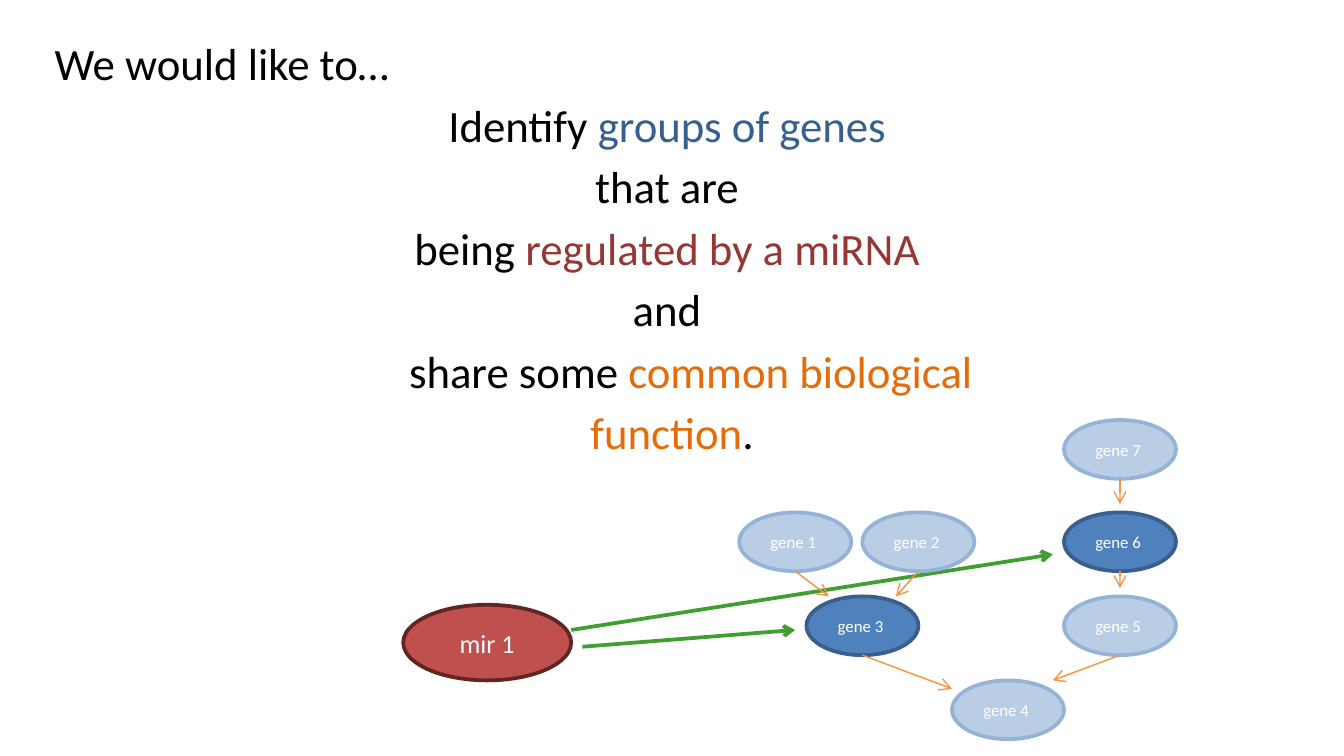
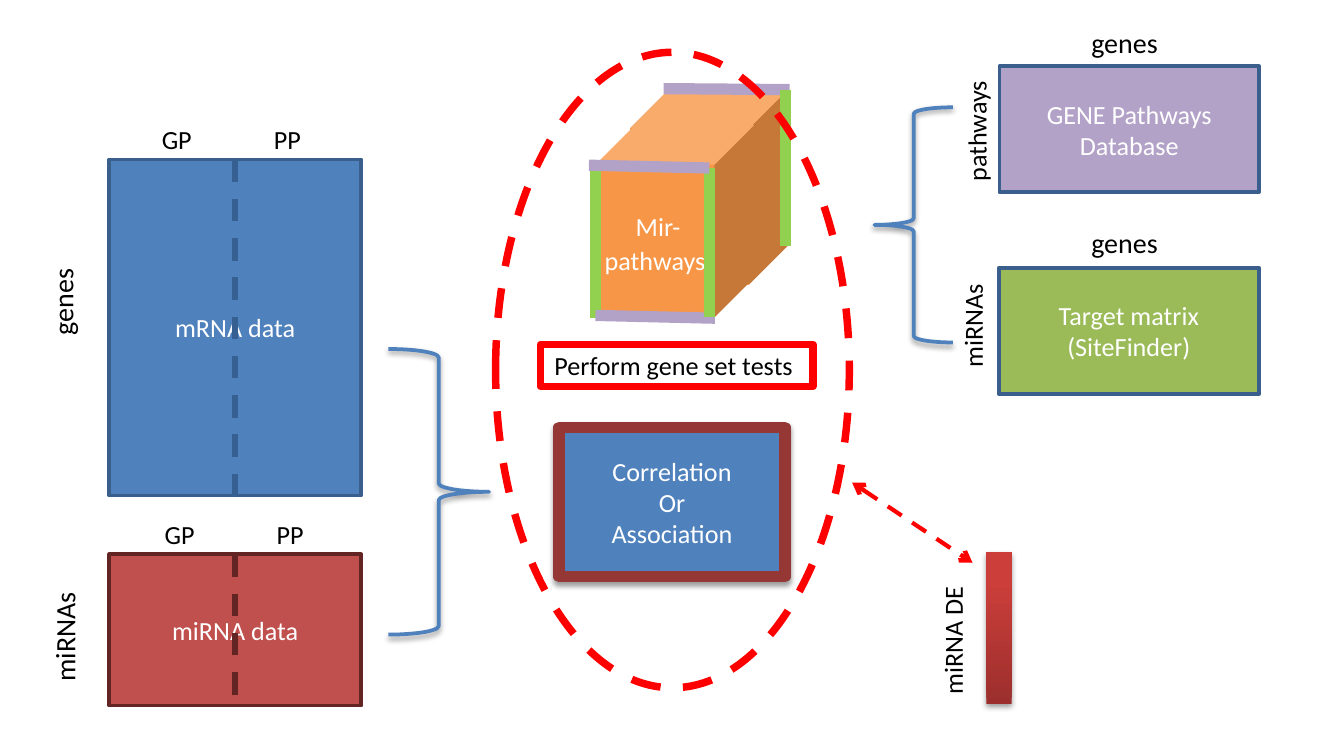
from dataclasses import dataclass

from lxml import etree
from pptx import Presentation
from pptx.dml.color import RGBColor
from pptx.enum.dml import MSO_LINE
from pptx.enum.shapes import MSO_CONNECTOR, MSO_SHAPE
from pptx.enum.text import MSO_ANCHOR, PP_ALIGN
from pptx.oxml.ns import qn
from pptx.util import Pt

DASH = MSO_LINE.DASH
STRAIGHT = MSO_CONNECTOR.STRAIGHT
RECTANGLE = MSO_SHAPE.RECTANGLE
OVAL = MSO_SHAPE.OVAL
CUBE = MSO_SHAPE.CUBE
LEFT_BRACE = MSO_SHAPE.LEFT_BRACE
RIGHT_BRACE = MSO_SHAPE.RIGHT_BRACE
TOP = MSO_ANCHOR.TOP
MIDDLE = MSO_ANCHOR.MIDDLE
LEFT = PP_ALIGN.LEFT
CENTER = PP_ALIGN.CENTER


@dataclass(frozen=True)
class Theme:
    font: str = "Calibri"
    black: str = "000000"
    white: str = "FFFFFF"
    blue: str = "4F81BD"
    blue_edge: str = "3A5F8C"
    blue_dark: str = "376092"
    blue_pale: str = "B9CDE5"
    blue_pale_edge: str = "95B3D7"
    red: str = "C0504D"
    red_edge: str = "632523"
    red_dark: str = "953735"
    red_bright: str = "FF0000"
    bar_bottom: str = "9C2F2D"
    bar_top: str = "CB3E3A"
    orange: str = "F79646"
    orange_arrow: str = "F69240"
    orange_dark: str = "E46C0A"
    green: str = "9BBB59"
    green_edge: str = "92D050"
    green_arrow: str = "419F31"
    purple: str = "B3A2C7"
    statement: float = 24
    axis: float = 15
    label: float = 14
    gene: float = 9


theme = Theme()


def add_box(page, kind, place, text="", size=theme.label, color=theme.white, fill=None,
            line=None, width=2, dash=None, rotation=0, shadow=False):
    left, top, box_width, height = map(Pt, place)
    if kind is None:
        box = page.shapes.add_textbox(left, top, box_width, height)
    else:
        box = page.shapes.add_shape(kind, left, top, box_width, height)
        box.shadow.inherit = False
        if fill:
            box.fill.solid()
            box.fill.fore_color.rgb = RGBColor.from_string(fill)
        else:
            box.fill.background()
        if line:
            box.line.color.rgb = RGBColor.from_string(line)
            box.line.width = Pt(width)
            box.line.dash_style = dash
        else:
            box.line.fill.background()
    if shadow:
        effects = box._element.spPr.find(qn("a:effectLst"))
        outer = etree.SubElement(effects, qn("a:outerShdw"), blurRad=str(Pt(3.1)),
                                 dist=str(Pt(1.7)), dir="5400000", rotWithShape="0")
        tint = etree.SubElement(outer, qn("a:srgbClr"), val=theme.black)
        etree.SubElement(tint, qn("a:alpha"), val="38000")
    box.rotation = rotation
    frame = box.text_frame
    frame.word_wrap = True
    frame.margin_left = frame.margin_right = Pt(5.2)
    frame.margin_top = frame.margin_bottom = Pt(2.6)
    frame.vertical_anchor = TOP if kind is None else MIDDLE
    if text:
        frame.text = text
    for para in frame.paragraphs:
        para.alignment = LEFT if kind is None else CENTER
        for span in para.runs:
            span.font.name = theme.font
            span.font.size = Pt(size)
            span.font.color.rgb = RGBColor.from_string(color)
    return box


def add_line(page, start, end, color, width, dash=None, ends=()):
    line = page.shapes.add_connector(STRAIGHT, *map(Pt, start + end))
    line.line.color.rgb = RGBColor.from_string(color)
    line.line.width = Pt(width)
    line.line.dash_style = dash
    properties = line._element.spPr
    for end_name in ends:
        etree.SubElement(properties.find(qn("a:ln")), qn(f"a:{end_name}"), type="arrow")
    etree.SubElement(properties, qn("a:effectLst"))


deck = Presentation()
deck.slide_width = Pt(720)
deck.slide_height = Pt(405)
blank = deck.slide_layouts[6]

page = deck.slides.add_slide(blank)
for start, end in [((306, 337.5), (564, 297)), ((312, 346.5), (426, 337.5))]:
    add_line(page, start, end, theme.green_arrow, 2, ends=["tailEnd"])

statement = [
    [("We would like to…", theme.black)],
    [("Identify ", theme.black), ("groups of genes ", theme.blue_dark)],
    [("that are ", theme.black)],
    [("being ", theme.black), ("regulated by a miRNA ", theme.red_dark)],
    [("and ", theme.black)],
    [("\tshare some ", theme.black), ("common biological", theme.orange_dark)],
    [("function", theme.orange_dark), (".", theme.black)],
]
frame = add_box(page, None, (24, 16.5, 672, 238.5)).text_frame
for index, spans in enumerate(statement):
    para = frame.add_paragraph() if index else frame.paragraphs[0]
    para.alignment = CENTER if index else LEFT
    para.space_before = Pt(4.2)
    indents = para._p.get_or_add_pPr()
    indents.set("marL", str(Pt(20)))
    indents.set("indent", str(Pt(-20)))
    for text, color in spans:
        span = para.add_run()
        span.text = text
        span.font.name = theme.font
        span.font.size = Pt(theme.statement)
        span.font.color.rgb = RGBColor.from_string(color)

add_box(page, OVAL, (216, 324, 90, 40.5), "mir 1", fill=theme.red, line=theme.red_edge)
genes = {1: (396, 274.5), 2: (462, 274.5), 3: (432, 319.5), 4: (510, 364.5),
         5: (570, 319.5), 6: (570, 274.5), 7: (570, 225)}
targets = (3, 6)
for number, (left, top) in genes.items():
    fill, edge = ((theme.blue, theme.blue_edge) if number in targets
                  else (theme.blue_pale, theme.blue_pale_edge))
    add_box(page, OVAL, (left, top, 60, 31.5), f"gene {number} ", theme.gene,
            fill=fill, line=edge)
pathway_arrows = [((426, 306), (444, 319.5)), ((492, 306), (480, 319.5)),
                  ((600, 256.5), (600, 270)), ((600, 306), (600, 315)),
                  ((600, 351), (564, 364.5)), ((462, 351), (510, 369))]
for start, end in pathway_arrows:
    add_line(page, start, end, theme.orange_arrow, 0.75, ends=["tailEnd"])

page = deck.slides.add_slide(blank)
expression_blocks = [
    ("miRNA data", 297, 81, theme.red, theme.red_edge, theme.red_edge, 83, 275),
    ("mRNA data", 85.5, 180, theme.blue, theme.blue_edge, theme.blue_dark, 81.5, 63.5),
]
for text, top, height, fill, edge, divider, heading_left, heading_top in expression_blocks:
    add_box(page, RECTANGLE, (58.5, top, 135, height), text, fill=fill, line=edge)
    add_line(page, (126, top), (126, top + height), divider, 3, DASH)
    heading = add_box(page, None, (heading_left, heading_top, 86, 22.5), "GP\tPP",
                      color=theme.black)
    heading.text_frame.word_wrap = False
    tabs = etree.SubElement(heading.text_frame.paragraphs[0]._p.get_or_add_pPr(), qn("a:tabLst"))
    etree.SubElement(tabs, qn("a:tab"), pos=str(Pt(60)), algn="l")

reference_blocks = [
    ("Target matrix\n(SiteFinder)", (535, 143.5, 139.5, 67.5), theme.green),
    ("GENE Pathways\nDatabase", (535.5, 35.5, 139, 67.5), theme.purple),
]
for text, place, fill in reference_blocks:
    add_box(page, RECTANGLE, place, text, fill=fill, line=theme.blue_edge)

labels = [
    ("genes", (-40.5, 98.5, 148.5, 24), theme.axis, 270),
    ("miRNAs", (-39.5, 284, 148.5, 24), theme.axis, 270),
    ("genes", (579.5, 118, 86, 24), theme.axis, 0),
    ("genes", (579.5, 11, 86, 24), theme.axis, 0),
    ("miRNAs", (491, 160.5, 60.5, 22.5), theme.label, 270),
    ("pathways", (489.5, 57.5, 67.5, 22.5), theme.label, 270),
    ("miRNA DE", (470, 325.5, 81, 22.5), theme.label, 270),
]
for text, place, size, rotation in labels:
    add_box(page, None, place, text, size, theme.black, rotation=rotation)

add_box(page, RECTANGLE, (299.5, 229, 121, 80), "Correlation\nOr\nAssociation",
        fill=theme.blue, line=theme.red_dark, width=6, shadow=True)
for kind, place in [(LEFT_BRACE, (468.5, 57.5, 42, 126)), (RIGHT_BRACE, (208, 187, 54, 153))]:
    add_box(page, kind, place, line=theme.blue, shadow=True)
add_box(page, RECTANGLE, (289.5, 184.5, 146, 22.5), "Perform gene set tests ",
        color=theme.black, line=theme.red_bright, width=4)

bar = add_box(page, RECTANGLE, (528.5, 296, 13.5, 81), shadow=True)
bar.fill.gradient()
bar.fill.gradient_angle = 90
for stop, position, color in zip(bar.fill.gradient_stops, (0, 0.8),
                                 (theme.bar_bottom, theme.bar_top)):
    stop.position = position
    stop.color.rgb = RGBColor.from_string(color)

add_box(page, CUBE, (337.5, 47.5, 85, 105), fill=theme.orange)
add_line(page, (355.5, 47.5), (423, 48), theme.purple, 6)
add_box(page, CUBE, (319, 67, 85, 103), fill=theme.orange)
add_line(page, (319, 90), (319, 170.5), theme.green_edge, 6)
add_line(page, (319, 169), (383, 170.5), theme.purple, 6)
cube_label = add_box(page, None, (282, 99.5, 138, 53), " Mir-\npathways").text_frame
cube_label.margin_top = Pt(13)
cube_label.paragraphs[1].space_before = Pt(1.75)
for para in cube_label.paragraphs:
    para.alignment = CENTER
add_line(page, (380, 90), (380, 170), theme.green_edge, 6)
add_line(page, (421, 48), (421, 132), theme.green_edge, 6)
add_line(page, (315.5, 88.5), (380, 90), theme.purple, 6)

add_box(page, OVAL, (265.5, 28, 189.5, 340.5), line=theme.red_bright, width=4, dash=DASH)
add_line(page, (456.5, 258.5), (521, 301.5), theme.red_bright, 2.25, DASH,
         ["headEnd", "tailEnd"])

deck.save("out.pptx")
